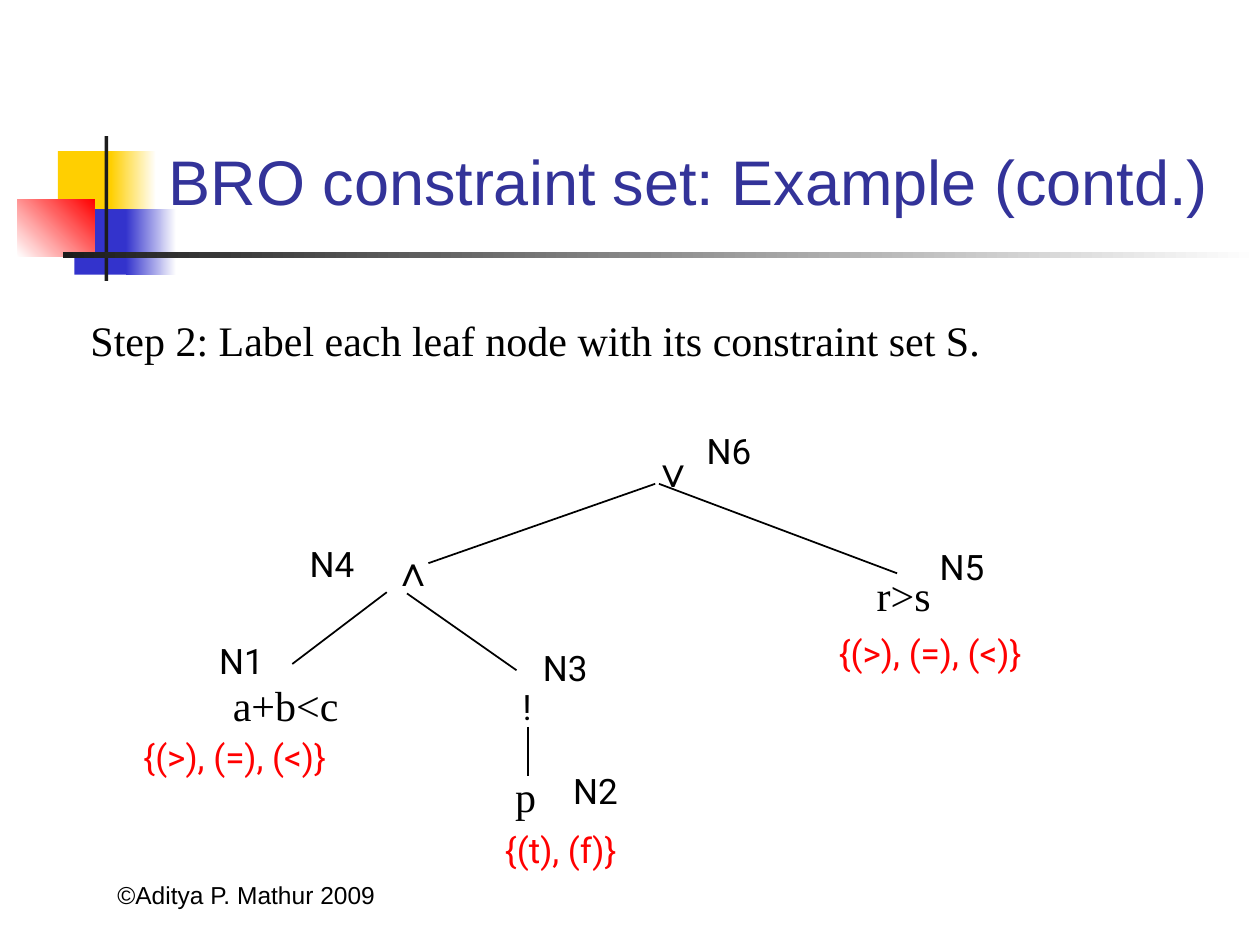
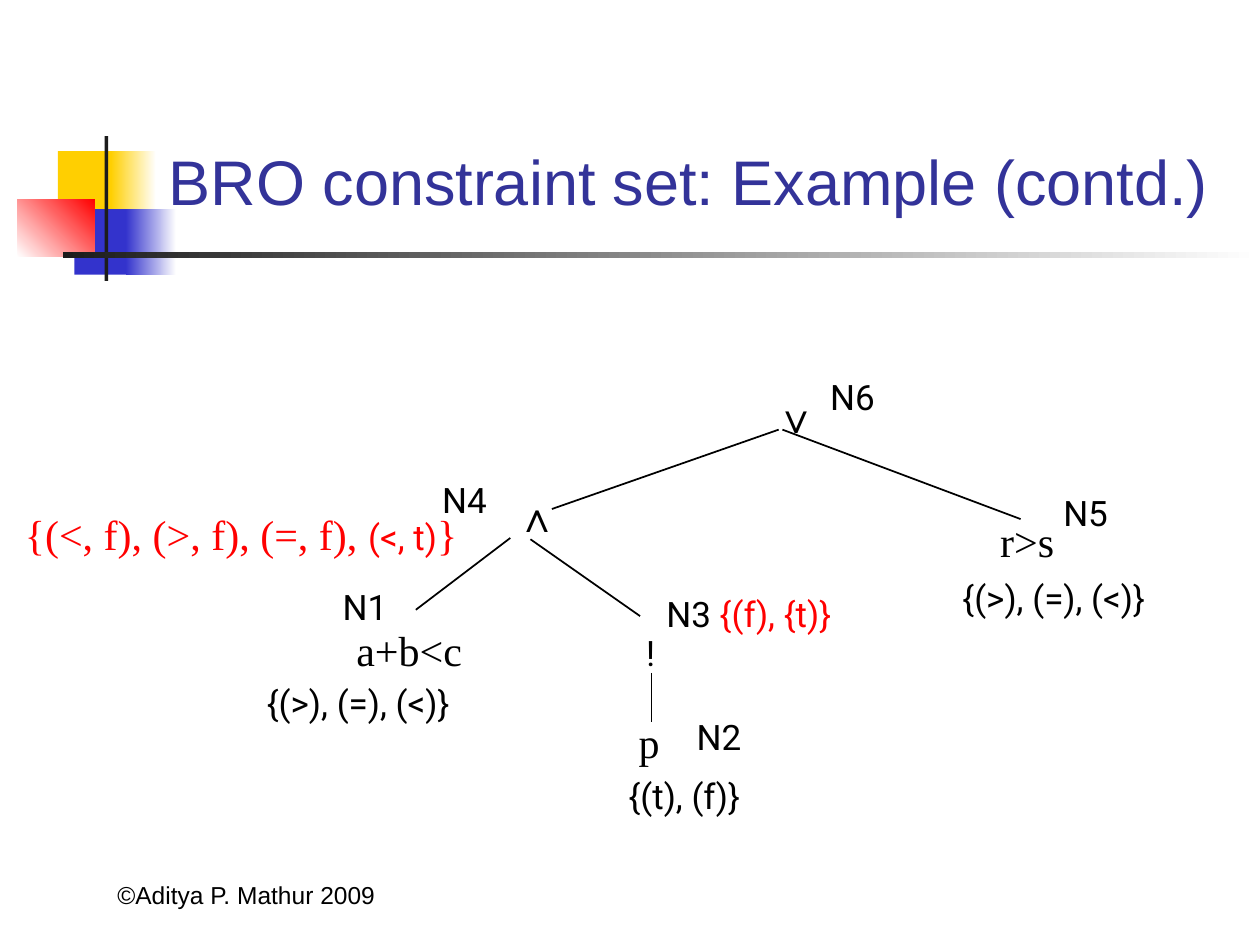
from lxml import etree
from pptx import Presentation
from pptx.dml.color import RGBColor
from pptx.enum import shapes, text
from pptx.oxml.ns import qn
from pptx.util import Inches, Pt

BLACK = RGBColor(0x00, 0x00, 0x00)
WHITE = RGBColor(0xFF, 0xFF, 0xFF)
RED = RGBColor(0xFF, 0x00, 0x00)
YELLOW = RGBColor(0xFF, 0xCF, 0x01)
BLUE = RGBColor(0x33, 0x33, 0xCC)
CHARCOAL = RGBColor(0x1C, 0x1C, 0x1C)
TITLE_BLUE = RGBColor(0x33, 0x33, 0x99)

# Text styles: font and size in points
TITLE = ("Arial", 36)
FOOTER = ("Arial", 14)
OPERATOR = ("Arial", 24)
FORMULA = ("Times New Roman", 24)
LABEL = ("Roboto", 20)

TITLE_TEXT = "BRO constraint set: Example (contd.)"
COPYRIGHT = "©Aditya P. Mathur 2009"

# Left, top, width, height, colours (two make a gradient), gradient angle
DECORATION = [
    (0.46, 1.2, 0.48, 0.52, [YELLOW], 0),
    (0.88, 1.2, 0.36, 0.52, [YELLOW, WHITE], 0),
    (0.59, 1.66, 0.46, 0.52, [BLUE], 0),
    (1, 1.66, 0.4, 0.52, [BLUE, WHITE], 0),
    (0.14, 1.58, 0.61, 0.46, [WHITE, RED], 45),
    (0.83, 1.08, 0.03, 1.15, [CHARCOAL], 0),
    (0.5, 2, 9.5, 0.05, [CHARCOAL, WHITE], 0),
]

# The syntax tree, placed as on the first slide: left, top, width, words, style
TREE_NODES = [
    (3.99, 6.07, 0.4, "p", FORMULA),
    (6.86, 4.47, 0.74, "r>s", FORMULA),
    (1.75, 5.34, 1.26, "a+b<c", FORMULA),
    (3.02, 4.27, 0.31, "∧", OPERATOR),
    (5.08, 3.49, 0.2, "∨", OPERATOR),
    (4.05, 5.39, 0.27, "!", LABEL),
    (1.64, 5.03, 0.61, "N1", LABEL),
    (4.45, 6.06, 0.61, "N2", LABEL),
    (5.51, 3.36, 0.61, "N6", LABEL),
    (7.36, 4.28, 0.61, "N5", LABEL),
]
TREE_EDGES = [
    (3.07, 4.7, 2.32, 5.27),
    (3.23, 4.71, 4.1, 5.32),
    (4.19, 5.77, 4.19, 6.16),
    (5.2, 3.84, 3.4, 4.47),
    (5.23, 3.84, 7.12, 4.55),
]
LEAF_SETS = [
    (1.04, 5.79, 2.16, "{(>), (=), (<)}"),
    (6.56, 4.96, 2.16, "{(>), (=), (<)}"),
    (3.91, 6.53, 1.5, "{(t), (f)}"),
]

# Per slide: tree shift, colour of the leaf sets, and texts of its own
# (left, top, width, runs of words, style and colour)
SLIDES = [
    {"shift": (0, 0), "leaf_colour": RED, "texts": [
        (0.62, 2.45, 8.73,
         [("Step 2: Label each leaf node with its constraint set S.", FORMULA, BLACK)]),
        (2.36, 4.26, 0.61, [("N4", LABEL, BLACK)]),
        (4.21, 5.08, 0.61, [("N3", LABEL, BLACK)]),
    ]},
    {"shift": (0.98, -0.43), "leaf_colour": BLACK, "texts": [
        (0.1, 3.99, 4, [("{(<, f), (>, f), (=, f), ", FORMULA, RED),
                        ("(<, t)", LABEL, RED),
                        ("}", FORMULA, RED)]),
        (3.41, 3.75, 0.61, [("N4", LABEL, BLACK)]),
        (5.19, 4.65, 1.7, [("N3 ", LABEL, BLACK), ("{(f), {t)}", LABEL, RED)]),
    ]},
]


def add_text(slide, left, top, width, runs, height=None,
             align=text.PP_ALIGN.LEFT, anchor=text.MSO_ANCHOR.TOP):
    """Add one paragraph; without a height the box fits one line of its largest font."""
    line_height = 0.5 if max(style[1] for _, style, _ in runs) > 20 else 0.44
    box = slide.shapes.add_textbox(
        Inches(left), Inches(top), Inches(width), Inches(height or line_height))
    frame = box.text_frame
    frame.word_wrap = True
    frame.vertical_anchor = anchor
    if height is None:
        frame.auto_size = text.MSO_AUTO_SIZE.SHAPE_TO_FIT_TEXT
    paragraph = frame.paragraphs[0]
    paragraph.alignment = align
    for words, (font_name, size), colour in runs:
        run = paragraph.add_run()
        run.text = words
        run.font.name = font_name
        run.font.size = Pt(size)
        run.font.color.rgb = colour


def add_edge(slide, *ends):
    edge = slide.shapes.add_connector(
        shapes.MSO_CONNECTOR.STRAIGHT, *(Inches(end) for end in ends))
    edge.line.color.rgb = BLACK
    edge.line.width = Pt(1)
    etree.SubElement(edge._element.spPr, qn("a:effectLst"))


def add_block(slide, left, top, width, height, colours, angle):
    block = slide.shapes.add_shape(
        shapes.MSO_SHAPE.RECTANGLE,
        Inches(left), Inches(top), Inches(width), Inches(height))
    block.shadow.inherit = False
    block.line.fill.background()
    if len(colours) == 1:
        block.fill.solid()
        block.fill.fore_color.rgb = colours[0]
        return
    block.fill.gradient()
    block.fill.gradient_angle = angle
    for position, (stop, colour) in enumerate(zip(block.fill.gradient_stops, colours)):
        stop.position = position
        stop.color.rgb = colour


def add_frame(slide):
    """Add what every slide shares: decoration, footer and title."""
    for block in DECORATION:
        add_block(slide, *block)
    add_text(slide, 0.37, 6.77, 3.17, [(COPYRIGHT, FOOTER, BLACK)], height=0.5,
             align=text.PP_ALIGN.CENTER, anchor=text.MSO_ANCHOR.BOTTOM)
    add_text(slide, 1.24, 1.07, 8.52, [(TITLE_TEXT, TITLE, TITLE_BLUE)], height=0.71,
             anchor=text.MSO_ANCHOR.BOTTOM)


def add_tree(slide, shift, leaf_colour):
    dx, dy = shift
    for left, top, width, words, style in TREE_NODES:
        add_text(slide, left + dx, top + dy, width, [(words, style, BLACK)])
    for x1, y1, x2, y2 in TREE_EDGES:
        add_edge(slide, x1 + dx, y1 + dy, x2 + dx, y2 + dy)
    for left, top, width, words in LEAF_SETS:
        add_text(slide, left + dx, top + dy, width, [(words, LABEL, leaf_colour)])


def main():
    deck = Presentation()
    deck.slide_width, deck.slide_height = Inches(10), Inches(7.5)
    for content in SLIDES:
        slide = deck.slides.add_slide(deck.slide_layouts[6])
        add_frame(slide)
        add_tree(slide, content["shift"], content["leaf_colour"])
        for left, top, width, runs in content["texts"]:
            add_text(slide, left, top, width, runs)
    deck.save("out.pptx")


if __name__ == "__main__":
    main()
